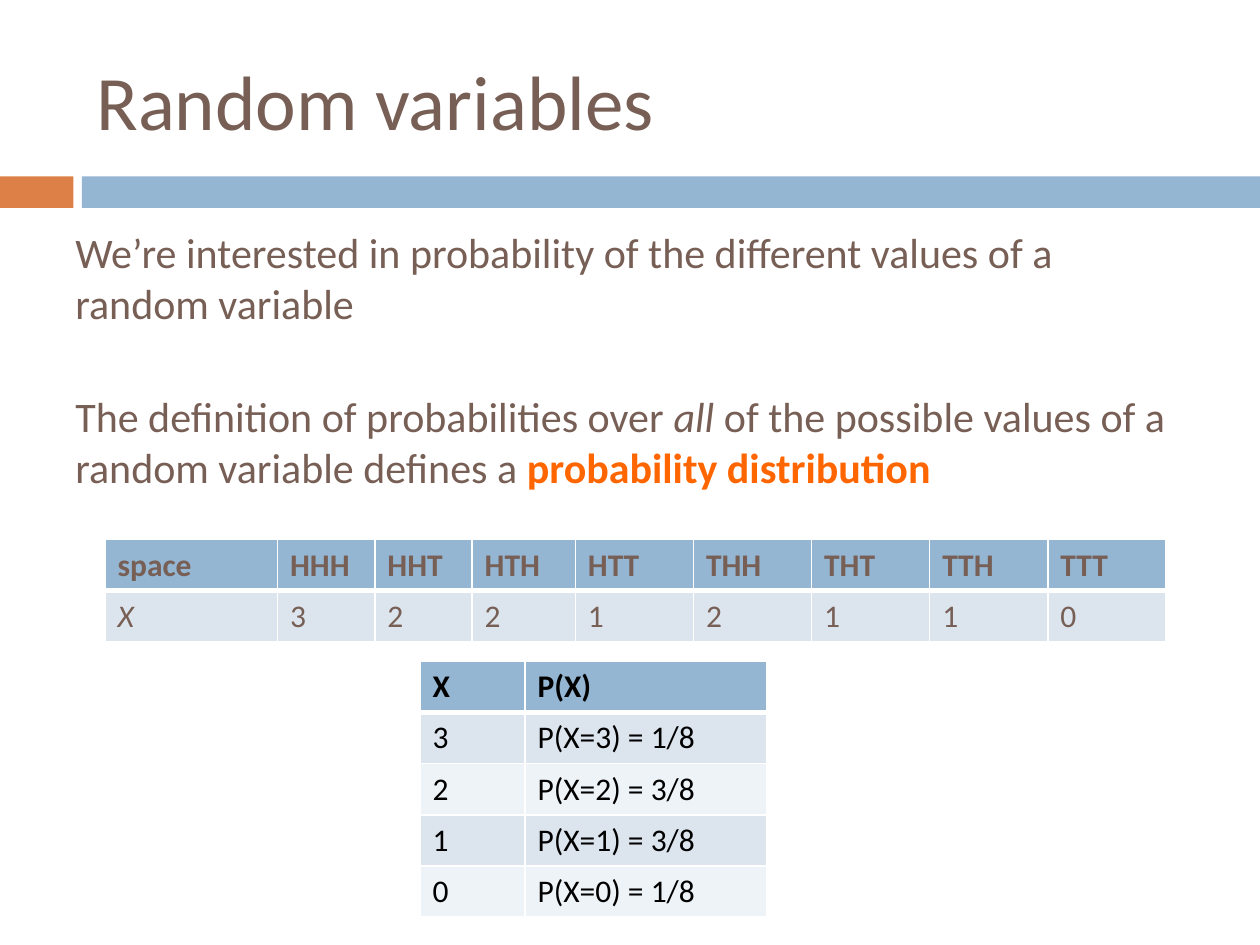
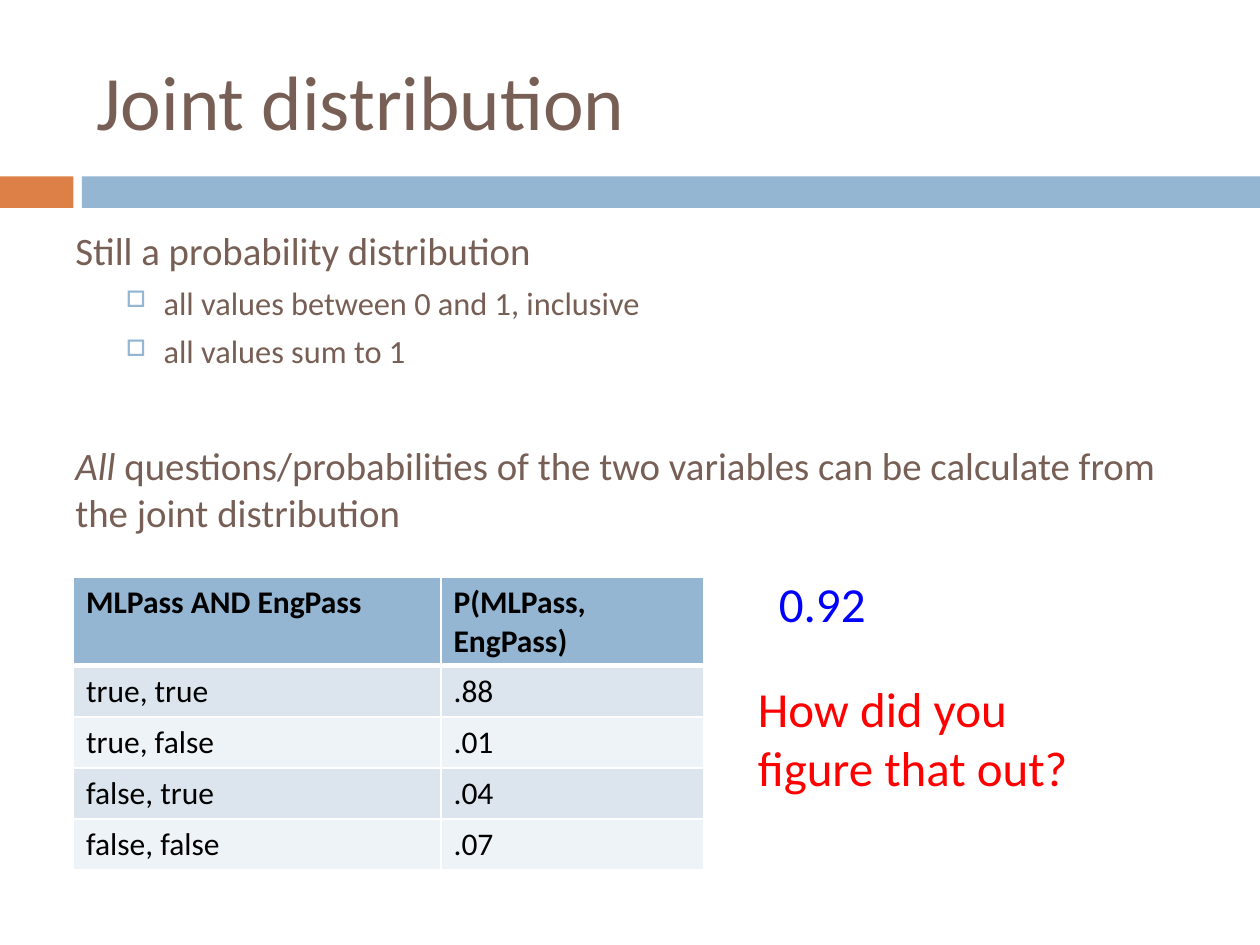
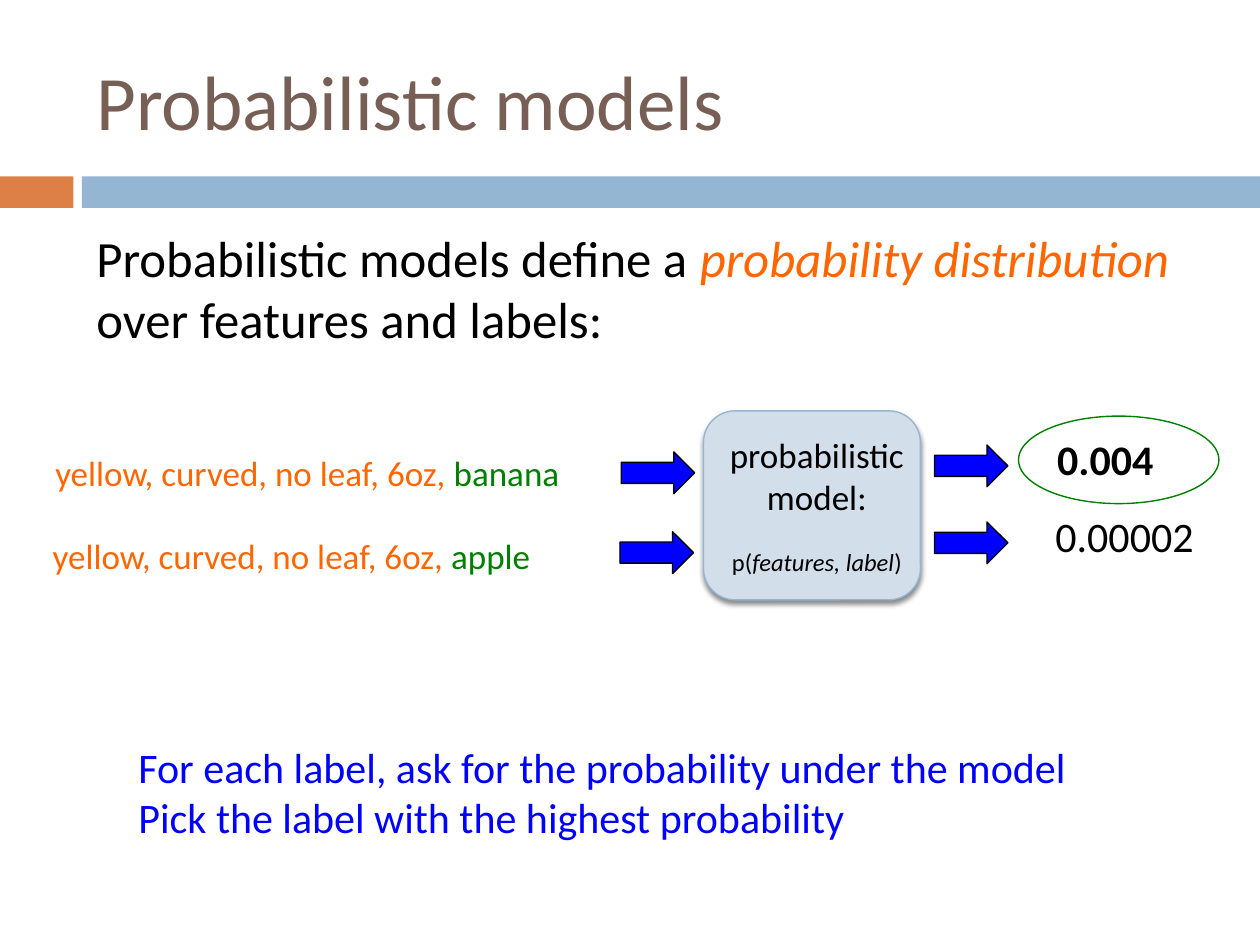
import lxml.etree
import pptx
import pptx.dml.color
import pptx.enum.shapes
import pptx.enum.text
import pptx.oxml
import pptx.oxml.ns
import pptx.util

Pt = pptx.util.Pt
Shape = pptx.enum.shapes.MSO_SHAPE
Align = pptx.enum.text.PP_ALIGN
Anchor = pptx.enum.text.MSO_ANCHOR

FONT = "Calibri"
BROWN, SKY, RUST, ORANGE = "775F55", "94B6D2", "DD8047", "FF6600"
PALE, PALER, PANEL = "DCE5EE", "EEF3F7", "D2DEEA"
BLACK, WHITE, BLUE, RED, GREEN = "000000", "FFFFFF", "0000FF", "FF0000", "008000"
ROW_HEIGHT = 29.2


def color_of(hex_text):
    return pptx.dml.color.RGBColor.from_string(hex_text)


def add_xml(parent, tag, body="", **attributes):
    """Append one a: element, with its inner XML, to parent."""
    listed = " ".join(f'{name}="{value}"' for name, value in attributes.items())
    namespace = pptx.oxml.ns.nsdecls("a")
    parent.append(pptx.oxml.parse_xml(f"<a:{tag} {namespace} {listed}>{body}</a:{tag}>"))


def write(para, text, size=24, color=BROWN, bold=False, italic=False):
    span = para.add_run()
    span.text = text
    span.font.name = FONT
    span.font.size = Pt(size)
    span.font.color.rgb = color_of(color)
    span.font.bold = bold
    span.font.italic = italic


class SlideWriter:
    """Holds the deck's style and the slide being filled."""

    def __init__(self, deck):
        self.deck = deck
        self.page = None

    def start(self, title):
        self.page = self.deck.slides.add_slide(self.deck.slide_layouts[6])
        self.shape(Shape.RECTANGLE, 0, 100.8, 42, 18, fill=RUST)
        self.shape(Shape.RECTANGLE, 46.8, 100.8, 673.2, 18, fill=SKY)
        frame = self.box(48, 18, 642, 78)
        frame.vertical_anchor = Anchor.MIDDLE
        self.paragraph(frame, title, size=44)

    def shape(self, kind, left, top, width, height, fill=None, line=None, weight=0.75):
        shape = self.page.shapes.add_shape(kind, Pt(left), Pt(top), Pt(width), Pt(height))
        shape.shadow.inherit = False
        if fill:
            shape.fill.solid()
            shape.fill.fore_color.rgb = color_of(fill)
        else:
            shape.fill.background()
        if line:
            shape.line.color.rgb = color_of(line)
            shape.line.width = Pt(weight)
        else:
            shape.line.fill.background()
        return shape

    def drop_shadow(self, shape):
        effects = shape._element.spPr.find(pptx.oxml.ns.qn("a:effectLst"))
        add_xml(effects, "outerShdw",
                f'<a:srgbClr val="{BLACK}"><a:alpha val="45000"/></a:srgbClr>',
                blurRad=Pt(3), dist=Pt(2.4), dir=90 * 60000, rotWithShape=0)

    def box(self, left, top, width, height, wrap=True):
        box = self.page.shapes.add_textbox(Pt(left), Pt(top), Pt(width), Pt(height))
        box.text_frame.word_wrap = wrap
        return box.text_frame

    def paragraph(self, frame, *parts, before=0, align=Align.LEFT, bullet=None, **style):
        """Add a paragraph; a part is a text or a (text, changes to style) pair."""
        first = frame.paragraphs[0]
        para = frame.add_paragraph() if first.runs else first
        para.alignment = align
        para.space_before = Pt(before)
        if bullet:
            properties = para._p.get_or_add_pPr()
            properties.set("marL", str(Pt(50.4)))
            properties.set("indent", str(Pt(-21.6)))
            add_xml(properties, "buClr", f'<a:srgbClr val="{SKY}"/>')
            add_xml(properties, "buSzPct", val=70000)
            add_xml(properties, "buChar", char=bullet)
        for part in parts:
            text, changes = (part, {}) if isinstance(part, str) else part
            write(para, text, **{**style, **changes})

    def label(self, left, top, width, height, *parts, wrap=False, **style):
        self.paragraph(self.box(left, top, width, height, wrap), *parts, **style)

    def table(self, left, top, widths, rows, color=BLACK, header_height=ROW_HEIGHT,
              italic_cells=()):
        heights = [header_height] + [ROW_HEIGHT] * (len(rows) - 1)
        table = self.page.shapes.add_table(
            len(rows), len(widths), Pt(left), Pt(top),
            Pt(sum(widths)), Pt(sum(heights))).table
        table.first_row = table.horz_banding = False
        for column, width in zip(table.columns, widths):
            column.width = Pt(width)
        for row_index, (values, height) in enumerate(zip(rows, heights)):
            table.rows[row_index].height = Pt(height)
            for column_index, value in enumerate(values):
                cell = table.cell(row_index, column_index)
                self.cell_style(cell, row_index)
                write(cell.text_frame.paragraphs[0], value, size=18, color=color,
                      bold=row_index == 0,
                      italic=(row_index, column_index) in italic_cells)

    def cell_style(self, cell, row_index):
        """Give a cell white rules, heavy below the header, and its band's fill."""
        top = 3 if row_index == 1 else 1
        bottom = 3 if row_index == 0 else 1
        properties = cell._tc.get_or_add_tcPr()
        for side, weight in zip("LRTB", (1, 1, top, bottom)):
            add_xml(properties, f"ln{side}",
                    f'<a:solidFill><a:srgbClr val="{WHITE}"/></a:solidFill>', w=Pt(weight))
        cell.fill.solid()
        band = SKY if row_index == 0 else (PALER, PALE)[row_index % 2]
        cell.fill.fore_color.rgb = color_of(band)


def random_variables(writer):
    writer.start("Random variables")
    body = writer.box(36, 126, 648, 180)
    writer.paragraph(
        body, "We’re interested in probability of the different values of a random variable",
        before=7)
    writer.paragraph(
        body, "The definition of probabilities over ", ("all", {"italic": True}),
        " of the possible values of a random variable defines a ",
        ("probability distribution", {"color": ORANGE, "bold": True}), before=36.3)
    outcomes = ["HHH", "HHT", "HTH", "HTT", "THH", "THT", "TTH", "TTT"]
    head_counts = [str(outcome.count("H")) for outcome in outcomes]
    writer.table(60, 308.4, [98.6, 55.6, 55.6, 59] + [67.5] * 5,
                 [["space"] + outcomes, ["X"] + head_counts],
                 color=BROWN, italic_cells=[(1, 0)])
    chances = [(heads, f"P(X={heads}) = {head_counts.count(heads)}/8") for heads in "3210"]
    writer.table(240, 378, [60, 138], [("X", "P(X)")] + chances)


def joint_distribution(writer):
    writer.start("Joint distribution")
    body = writer.box(36, 126, 648, 168)
    writer.paragraph(body, "Still a probability distribution", size=22.2, before=7)
    for rule in ("all values between 0 and 1, inclusive", "all values sum to 1"):
        writer.paragraph(body, rule, size=18.5, before=5.5, bullet="□")
    writer.paragraph(
        body, ("All", {"italic": True}),
        " questions/probabilities of the two variables can be calculate from"
        " the joint distribution", size=22.2, before=41)
    writer.table(42, 330, [210, 150], [
        ("MLPass AND EngPass", "P(MLPass, EngPass)"),
        ("true, true", ".88"),
        ("true, false", ".01"),
        ("false, true", ".04"),
        ("false, false", ".07"),
    ], header_height=50.4)
    writer.label(426, 384, 228, 75, "How did you figure that out?",
                 wrap=True, size=28, color=RED)
    writer.label(438, 324, 72, 41, "0.92", wrap=True, size=28, color=BLUE)


def probabilistic_models(writer):
    writer.start("Probabilistic models")
    writer.label(48, 126, 642, 84, "Probabilistic models define a ",
                 ("probability distribution", {"color": ORANGE, "italic": True}),
                 " over features and labels:", wrap=True, size=29, color=BLACK, before=7)

    panel = writer.shape(Shape.ROUNDED_RECTANGLE, 402, 234.8, 124, 108,
                         fill=PANEL, line=SKY, weight=0.79)
    writer.drop_shadow(panel)
    model = writer.box(402, 244, 129.6, 90)
    writer.paragraph(model, "probabilistic model:", size=20, color=BLACK, align=Align.CENTER)
    writer.paragraph(model, "p(", ("features, label", {"italic": True}), ")",
                     size=14, color=BLACK, align=Align.CENTER, before=17)

    for left, top, width, fruit in ((24.5, 254.2, 306, "banana"), (23, 301.7, 303, "apple")):
        writer.label(left, top, width, 31.5, "yellow, curved, no leaf, 6oz, ",
                     (fruit, {"color": GREEN}), size=20, color=ORANGE)
    for left, top in ((355, 258.2), (354.3, 303.8), (534, 254.2), (534, 298.2)):
        writer.shape(Shape.RIGHT_ARROW, left, top, 42, 24, fill=BLUE, line=BLACK)

    writer.label(597, 244, 73.5, 36, "0.004", color=BLACK, bold=True)
    writer.label(596, 288, 100, 36, "0.00002", color=BLACK)
    writer.shape(Shape.OVAL, 582, 237.8, 114.5, 50, line=GREEN, weight=0.79)

    advice = writer.box(72, 420, 546.5, 65.5, wrap=False)
    for step in ("For each label, ask for the probability under the model",
                 "Pick the label with the highest probability"):
        writer.paragraph(advice, step, color=BLUE)


def main():
    deck = pptx.Presentation()
    deck.slide_width, deck.slide_height = Pt(720), Pt(540)
    writer = SlideWriter(deck)
    random_variables(writer)
    joint_distribution(writer)
    probabilistic_models(writer)
    deck.save("out.pptx")


if __name__ == "__main__":
    main()
